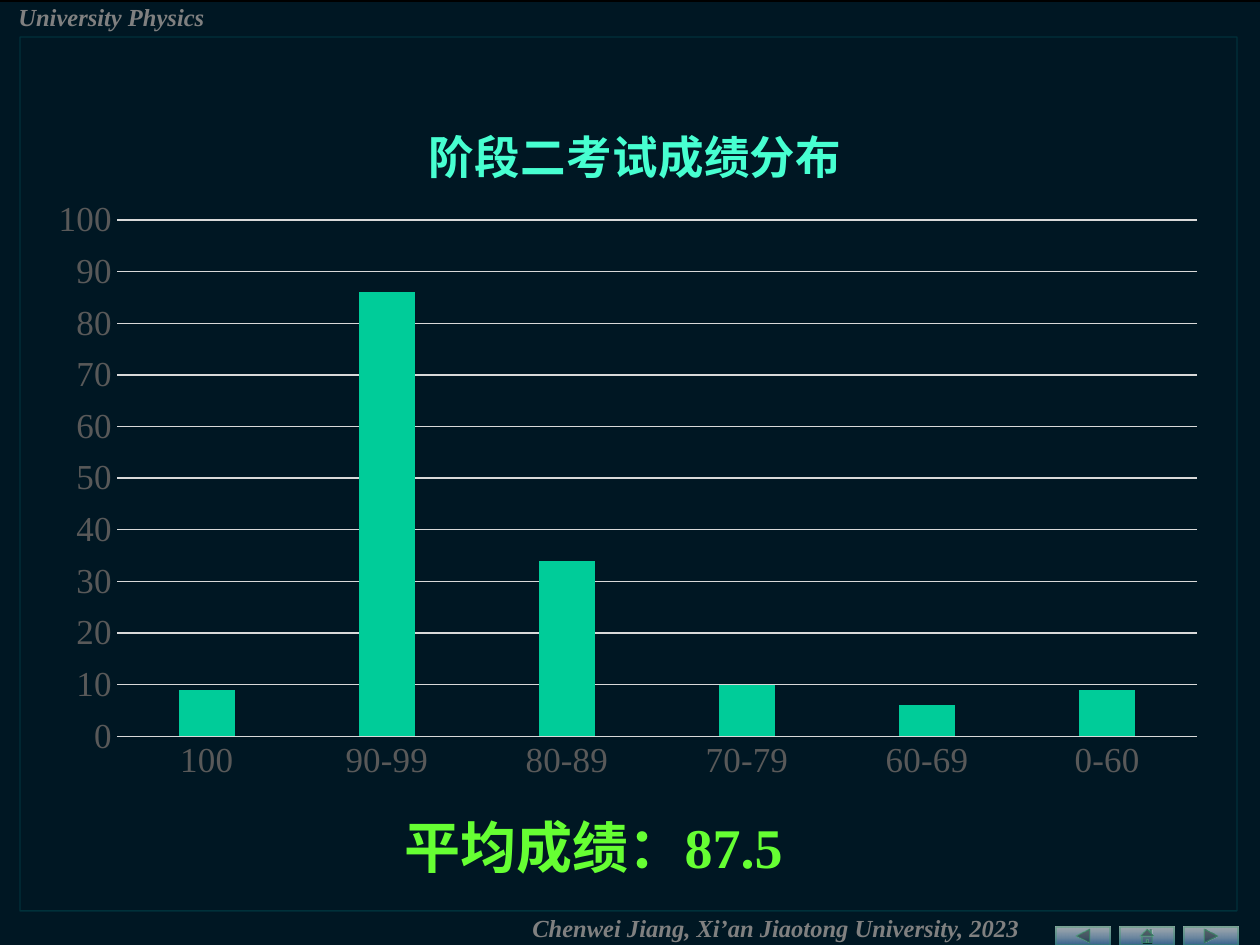
from dataclasses import dataclass

import lxml.etree
import pptx
import pptx.chart.data
import pptx.dml.color
import pptx.enum.chart
import pptx.enum.shapes
import pptx.enum.text
import pptx.oxml
import pptx.oxml.ns
import pptx.util

EMU_PER_PX = 914400 // 126
qn = pptx.oxml.ns.qn
SHAPES = pptx.enum.shapes.MSO_SHAPE


@dataclass(frozen=True)
class Theme:
    background: str = "006699"
    shade: str = "000000"
    frame: str = "009999"
    button_top: str = "FFFFFF"
    button_bottom: str = "336699"
    button_line: str = "339966"
    running_text: str = "808080"
    average: str = "66FF33"
    title: str = "47FFD1"
    axis_text: str = "595959"
    grid: str = "D9D9D9"
    bar: str = "00CC99"
    font: str = "Times New Roman"
    running_size: int = 14
    axis_size: int = 20
    title_size: int = 26
    average_size: int = 32
    line_width: float = 0.75


THEME = Theme()


@dataclass(frozen=True)
class Box:
    left: int
    top: int
    width: int
    height: int

    def emu(self) -> list[int]:
        return [value * EMU_PER_PX for value in (self.left, self.top, self.width, self.height)]


@dataclass(frozen=True)
class Label:
    text: str
    box: Box
    size: int
    color: str
    italic: bool = True
    line_spacing: float = 1.0
    centred_vertically: bool = False


LABELS = [
    Label("Chenwei Jiang, Xi’an Jiaotong University, 2023", Box(520, 907, 684, 42),
          THEME.running_size, THEME.running_text),
    Label("University Physics", Box(6, -4, 328, 42), THEME.running_size, THEME.running_text),
    Label("平均成绩：87.5", Box(392, 800, 515, 103), THEME.average_size, THEME.average,
          italic=False, line_spacing=0.85, centred_vertically=True),
]
BUTTONS = [
    SHAPES.ACTION_BUTTON_BACK_OR_PREVIOUS,
    SHAPES.ACTION_BUTTON_HOME,
    SHAPES.ACTION_BUTTON_FORWARD_OR_NEXT,
]
FIRST_BUTTON = Box(1056, 927, 54, 18)
BUTTON_STEP = 64
CHART_BOX = Box(35, 71, 1186, 724)
PLOT_BOX = Box(117, 220, 1080, 516)
TITLE_LEFT, TITLE_TOP = 421, 107
SCORES = {"100": 9, "90-99": 86, "80-89": 34, "70-79": 10, "60-69": 6, "0-60": 9}


def rgb(color: str) -> pptx.dml.color.RGBColor:
    return pptx.dml.color.RGBColor.from_string(color)


def set_alpha(parent, percents: list[int]) -> None:
    """Give the colours inside parent their opacities, in order."""
    for color, percent in zip(parent.iter(qn("a:srgbClr")), percents):
        lxml.etree.SubElement(color, qn("a:alpha")).set("val", str(percent * 1000))


def style_font(font, size: int, color: str, bold: bool = False, italic: bool = False) -> None:
    font.name = THEME.font
    font.size = pptx.util.Pt(size)
    font.color.rgb = rgb(color)
    font.bold = bold
    font.italic = italic


def add_shape(slide, kind, box: Box, line_color: str, line_width: float, line_alpha: int = 100):
    shape = slide.shapes.add_shape(kind, *box.emu())
    shape.shadow.inherit = False
    shape.fill.background()
    shape.line.color.rgb = rgb(line_color)
    shape.line.width = pptx.util.Pt(line_width)
    if line_alpha < 100:
        set_alpha(shape.line._get_or_add_ln(), [line_alpha])
    return shape


def add_shade(slide) -> None:
    shade = add_shape(slide, SHAPES.RECTANGLE, Box(-9, 1, 1271, 956), THEME.shade, THEME.line_width)
    shade.fill.solid()
    shade.fill.fore_color.rgb = rgb(THEME.shade)
    set_alpha(shade._element.spPr.find(qn("a:solidFill")), [77])


def add_button(slide, kind, box: Box) -> None:
    button = add_shape(slide, kind, box, THEME.button_line, 0, 52)
    button.fill.gradient()
    button.fill.gradient_angle = 270
    for stop, color in zip(button.fill.gradient_stops, (THEME.button_top, THEME.button_bottom)):
        stop.color.rgb = rgb(color)
    set_alpha(button._element.spPr.find(qn("a:gradFill")), [62, 89])


def add_label(slide, label: Label) -> None:
    text_frame = slide.shapes.add_textbox(*label.box.emu()).text_frame
    text_frame.word_wrap = True
    if label.centred_vertically:
        text_frame.vertical_anchor = pptx.enum.text.MSO_ANCHOR.MIDDLE
    else:
        text_frame.auto_size = pptx.enum.text.MSO_AUTO_SIZE.SHAPE_TO_FIT_TEXT
    text_frame.text = label.text
    paragraph = text_frame.paragraphs[0]
    paragraph.line_spacing = label.line_spacing
    style_font(paragraph.runs[0].font, label.size, label.color, bold=True, italic=label.italic)


def set_layout(parent, fractions: dict[str, float], inner: bool = False) -> None:
    """Place a chart part by hand, in fractions of the chart."""
    for old in parent.findall(qn("c:layout")):
        parent.remove(old)
    layout = pptx.oxml.parse_xml(
        f'<c:layout {pptx.oxml.ns.nsdecls("c")}><c:manualLayout/></c:layout>')
    settings = {"layoutTarget": "inner"} if inner else {}
    settings |= {"xMode": "edge", "yMode": "edge"}
    settings |= {name: f"{value:.3f}" for name, value in fractions.items()}
    for name, value in settings.items():
        lxml.etree.SubElement(layout[0], qn(f"c:{name}")).set("val", value)
    text = parent.find(qn("c:tx"))
    parent.insert(0 if text is None else 1, layout)


def chart_fractions(left: int, top: int) -> dict[str, float]:
    return {"x": (left - CHART_BOX.left) / CHART_BOX.width,
            "y": (top - CHART_BOX.top) / CHART_BOX.height}


def style_line(line) -> None:
    line.color.rgb = rgb(THEME.grid)
    line.width = pptx.util.Pt(THEME.line_width)


def add_score_chart(slide) -> None:
    data = pptx.chart.data.CategoryChartData()
    data.categories = list(SCORES)
    data.add_series("Series 1", list(SCORES.values()))
    chart = slide.shapes.add_chart(
        pptx.enum.chart.XL_CHART_TYPE.COLUMN_CLUSTERED, *CHART_BOX.emu(), data).chart
    style_font(chart.font, 10, THEME.shade)
    chart.has_legend = False

    title = chart.chart_title
    title.text_frame.text = "阶段二考试成绩分布"
    style_font(title.text_frame.paragraphs[0].runs[0].font, THEME.title_size, THEME.title, bold=True)
    title.include_in_layout = False
    set_layout(title._element, chart_fractions(TITLE_LEFT, TITLE_TOP))

    plot = chart.plots[0]
    plot.gap_width, plot.overlap, plot.vary_by_categories = 219, -27, False
    series = plot.series[0]
    series.format.fill.solid()
    series.format.fill.fore_color.rgb = rgb(THEME.bar)
    size = {"w": PLOT_BOX.width / CHART_BOX.width, "h": PLOT_BOX.height / CHART_BOX.height}
    set_layout(chart._chartSpace.chart.plotArea,
               chart_fractions(PLOT_BOX.left, PLOT_BOX.top) | size, inner=True)

    for axis in (chart.category_axis, chart.value_axis):
        axis.major_tick_mark = axis.minor_tick_mark = pptx.enum.chart.XL_TICK_MARK.NONE
        style_font(axis.tick_labels.font, THEME.axis_size, THEME.axis_text)
    style_line(chart.category_axis.format.line)
    values = chart.value_axis
    values.minimum_scale, values.maximum_scale, values.major_unit = 0, 100, 10
    values.format.line.fill.background()
    style_line(values.major_gridlines.format.line)


def main() -> None:
    presentation = pptx.Presentation()
    presentation.slide_width = 1260 * EMU_PER_PX
    presentation.slide_height = 945 * EMU_PER_PX
    slide = presentation.slides.add_slide(presentation.slide_layouts[6])
    slide.background.fill.solid()
    slide.background.fill.fore_color.rgb = rgb(THEME.background)
    add_shade(slide)
    for index, kind in enumerate(BUTTONS):
        left = FIRST_BUTTON.left + index * BUTTON_STEP
        add_button(slide, kind, Box(left, FIRST_BUTTON.top, FIRST_BUTTON.width, FIRST_BUTTON.height))
    add_shape(slide, SHAPES.RECTANGLE, Box(20, 37, 1217, 874), THEME.frame, THEME.line_width, 20)
    for label in LABELS:
        add_label(slide, label)
    add_score_chart(slide)
    presentation.save("out.pptx")


if __name__ == "__main__":
    main()
